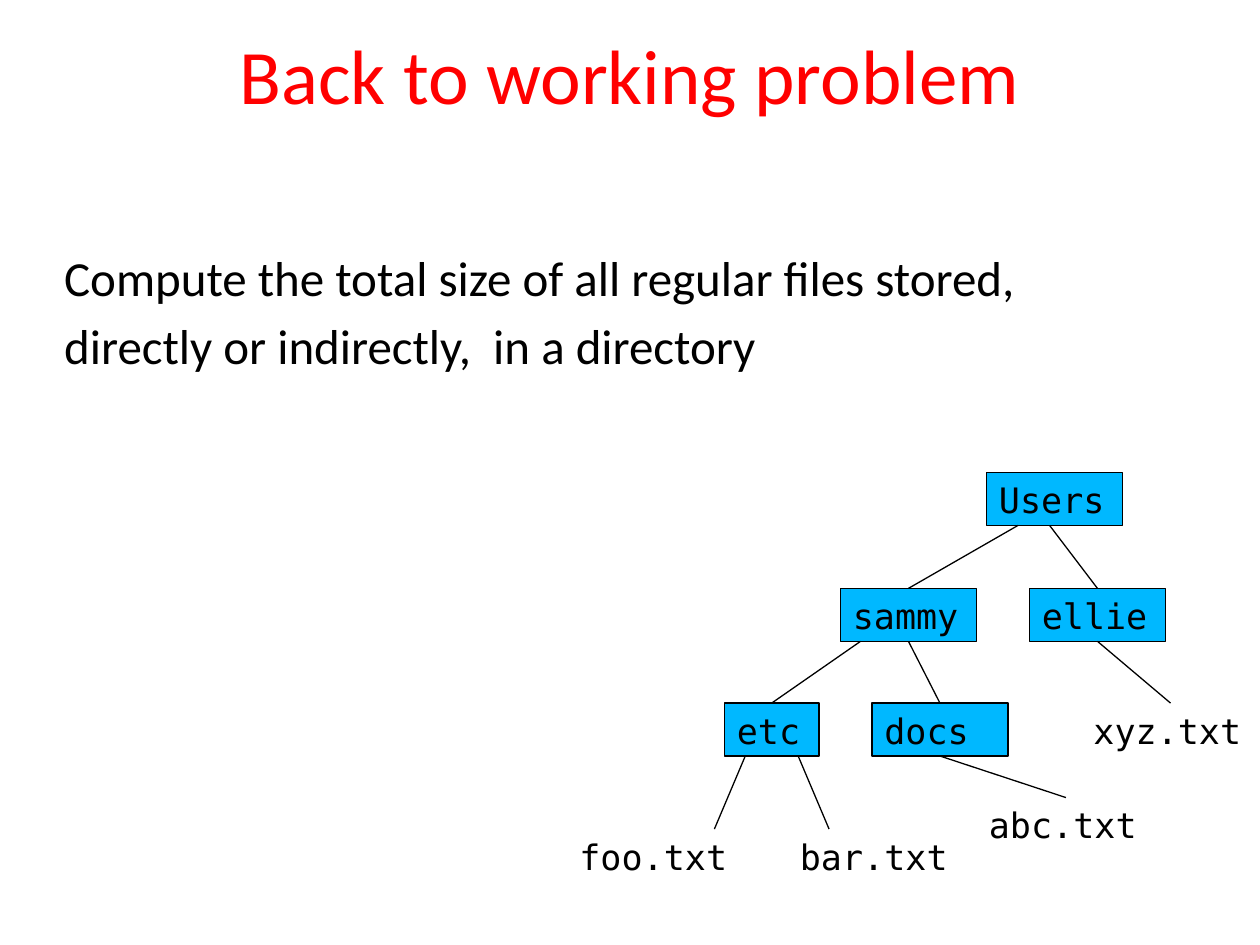
from dataclasses import dataclass

from lxml import etree
from pptx import Presentation
from pptx.dml.color import RGBColor
from pptx.enum.shapes import MSO_CONNECTOR, MSO_SHAPE
from pptx.enum.text import MSO_ANCHOR, PP_ALIGN
from pptx.oxml.ns import qn
from pptx.util import Inches, Pt

RECT = MSO_SHAPE.RECTANGLE
STRAIGHT = MSO_CONNECTOR.STRAIGHT
TOP, MIDDLE = MSO_ANCHOR.TOP, MSO_ANCHOR.MIDDLE
LEFT, CENTER = PP_ALIGN.LEFT, PP_ALIGN.CENTER
TOP_SIDE, BOTTOM_SIDE = 0, 2


@dataclass(frozen=True)
class Theme:
    ink: RGBColor = RGBColor(0x00, 0x00, 0x00)
    red: RGBColor = RGBColor(0xFF, 0x00, 0x00)
    blue: RGBColor = RGBColor(0x00, 0xB8, 0xFF)
    sans: str = "Calibri"
    mono: str = "DejaVu Sans Mono"
    title: int = 44
    body: int = 28
    node: int = 20
    line: float = 0.75
    spacing: float = 0.94


class Board:
    def __init__(self, slide, theme):
        self.slide = slide
        self.theme = theme

    def run(self, par, text, font, size, color):
        run = par.add_run()
        run.text = text
        run.font.name = font
        run.font.size = Pt(size)
        run.font.color.rgb = color

    def block(self, at, lines, size, color, align=LEFT, anchor=TOP, before=0, indent=0):
        """Add a text box without insets, one paragraph for each line."""
        box = self.slide.shapes.add_textbox(*map(Inches, at))
        frame = box.text_frame
        frame.word_wrap = True
        frame.vertical_anchor = anchor
        frame.margin_left = frame.margin_right = 0
        frame.margin_top = frame.margin_bottom = 0
        for i, line in enumerate(lines):
            par = frame.add_paragraph() if i else frame.paragraphs[0]
            par.alignment = align
            par.line_spacing = self.theme.spacing
            par.space_before = Pt(before)
            props = par._p.get_or_add_pPr()
            props.set("marL", str(Inches(indent)))
            self.run(par, line, self.theme.sans, size, color)

    def label(self, shape, text):
        frame = shape.text_frame
        frame.word_wrap = True
        frame.vertical_anchor = TOP
        par = frame.paragraphs[0]
        par.alignment = LEFT
        self.run(par, text, self.theme.mono, self.theme.node, self.theme.ink)
        return shape

    def folder(self, text, left, top, width):
        box = self.slide.shapes.add_shape(
            RECT, Inches(left), Inches(top), Inches(width), Inches(0.42))
        box.shadow.inherit = False
        box.fill.solid()
        box.fill.fore_color.rgb = self.theme.blue
        box.line.color.rgb = self.theme.ink
        box.line.width = Pt(self.theme.line)
        return self.label(box, text)

    def file(self, text, left, top):
        box = self.slide.shapes.add_textbox(
            Inches(left), Inches(top), Inches(1.42), Inches(0.5))
        return self.label(box, text)

    def branch(self, child, parent, child_dx, parent_dx):
        """Link child top to parent bottom; dx is the shift from the middle."""
        line = self.slide.shapes.add_connector(
            STRAIGHT,
            child.left + child.width // 2 + Inches(child_dx), child.top,
            parent.left + parent.width // 2 + Inches(parent_dx),
            parent.top + parent.height)
        if not child_dx:
            line.begin_connect(child, TOP_SIDE)
        if not parent_dx:
            line.end_connect(parent, BOTTOM_SIDE)
        line.line.color.rgb = self.theme.ink
        line.line.width = Pt(self.theme.line)
        etree.SubElement(line._element.spPr, qn("a:effectLst"))


FOLDERS = [
    ("Users", 7.83, 3.75, 1.08),
    ("sammy", 6.67, 4.67, 1.08),
    ("ellie", 8.17, 4.67, 1.08),
    ("etc", 5.75, 5.58, 0.75),
    ("docs", 6.92, 5.58, 1.08),
]
FILES = [
    ("foo.txt", 4.5, 6.58),
    ("bar.txt", 6.25, 6.58),
    ("abc.txt", 7.75, 6.33),
    ("xyz.txt", 8.58, 5.58),
]
# child, parent, shift at child, shift at parent
BRANCHES = [
    ("sammy", "Users", 0, -0.29),
    ("ellie", "Users", 0, -0.04),
    ("etc", "sammy", 0, -0.38),
    ("docs", "sammy", 0, 0),
    ("xyz.txt", "ellie", 0, 0),
    ("foo.txt", "etc", 0.46, -0.21),
    ("bar.txt", "etc", -0.38, 0.21),
    ("abc.txt", "docs", 0, 0),
]


def main():
    deck = Presentation()
    deck.slide_width, deck.slide_height = Inches(10), Inches(7.5)
    theme = Theme()
    board = Board(deck.slides.add_slide(deck.slide_layouts[6]), theme)

    board.block((0, 2, 10, 5.5),
                ["Compute the total size of all regular files stored,",
                 "directly or indirectly,  in a directory"],
                theme.body, theme.ink, before=7.4, indent=0.51)
    board.block((0, 0, 10, 1.25), ["Back to working problem"],
                theme.title, theme.red, align=CENTER, anchor=MIDDLE)

    nodes = {name: board.folder(name, *place) for name, *place in FOLDERS}
    nodes.update({name: board.file(name, *place) for name, *place in FILES})
    for child, parent, *shifts in BRANCHES:
        board.branch(nodes[child], nodes[parent], *shifts)

    deck.save("out.pptx")


if __name__ == "__main__":
    main()
